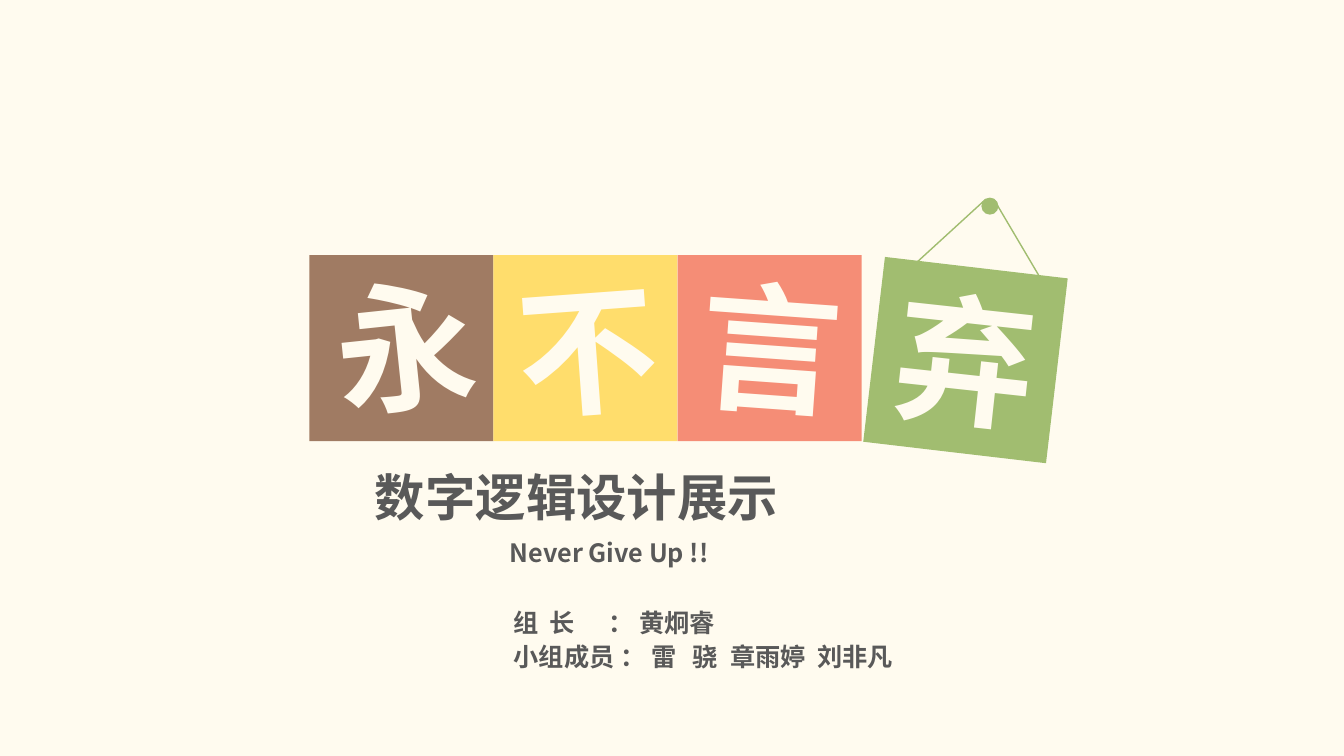
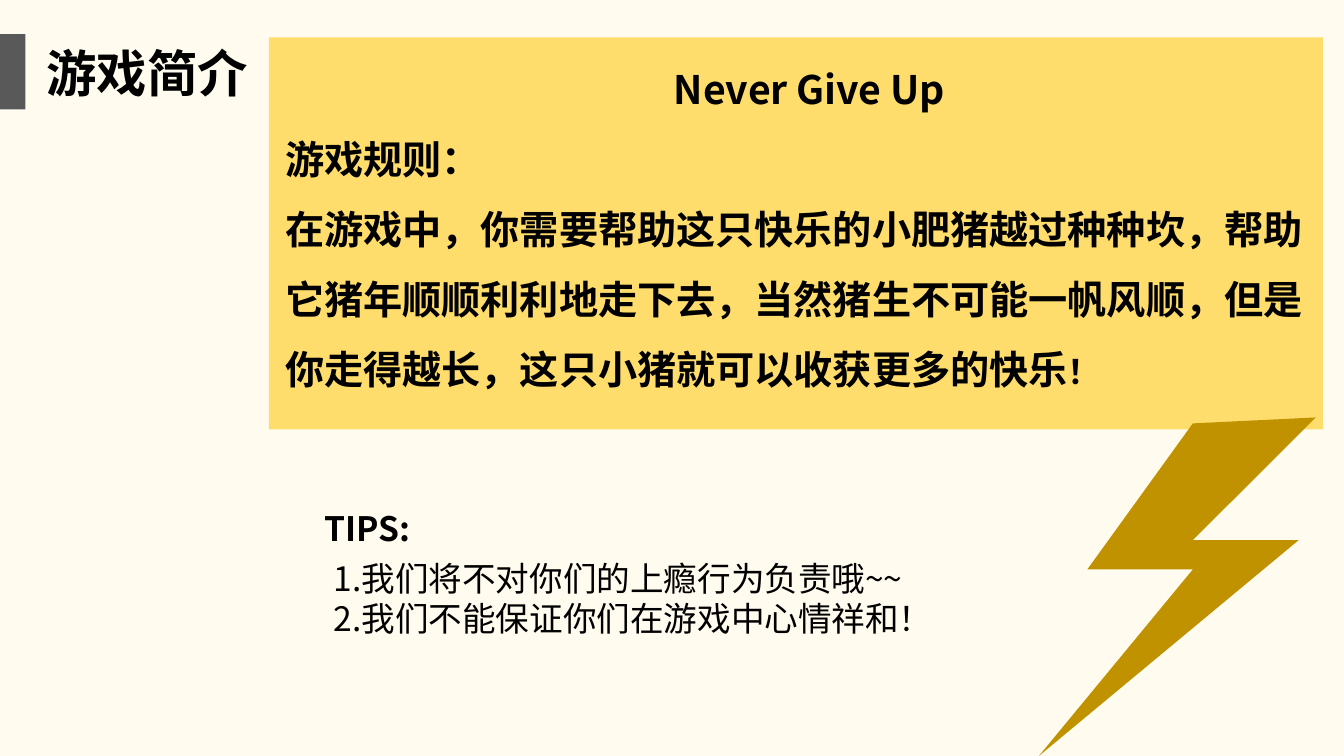
"""Build a two-slide deck: a cover with hanging tiles and a game introduction."""
from dataclasses import dataclass, replace
from typing import NamedTuple

from lxml.etree import SubElement
from pptx import Presentation
from pptx.dml.color import RGBColor
from pptx.enum.shapes import MSO_SHAPE as Preset
from pptx.enum.text import MSO_ANCHOR as Anchor, MSO_AUTO_SIZE as AutoSize, PP_ALIGN as Align
from pptx.oxml.ns import qn
from pptx.util import Cm, Pt


@dataclass(frozen=True)
class Theme:
    font: str = "Noto Sans CJK SC"
    cream: str = "FFFBEF"
    brown: str = "A07B63"
    yellow: str = "FFDD6C"
    coral: str = "F58D76"
    green: str = "A1BD70"
    gold: str = "C09200"
    grey: str = "595959"
    black: str = "000000"
    glyph_size: float = 100
    title_size: float = 36
    body_size: float = 28
    tips_size: float = 24
    small_size: float = 18
    pitch: float = 1.19


THEME = Theme()


class Box(NamedTuple):
    left: float
    top: float
    width: float
    height: float

    def lengths(self):
        return [Cm(value) for value in self]


@dataclass(frozen=True)
class TextStyle:
    size: float
    color: str
    bold: bool = True
    align: Align = Align.LEFT
    spacing: float = 1


@dataclass(frozen=True)
class Tile:
    color: str
    box: Box
    glyph: str
    glyph_left: float
    glyph_top: float
    glyph_turn: float
    turn: float = 0


TILE_LEFT, TILE_TOP, TILE_WIDTH, TILE_HEIGHT = 7.8, 6.43, 4.64, 4.69
GLYPH_WIDTH, GLYPH_HEIGHT = 4.04, 4.24


def row_box(column: int) -> Box:
    return Box(TILE_LEFT + column * TILE_WIDTH, TILE_TOP, TILE_WIDTH, TILE_HEIGHT)


TILES = [
    Tile(THEME.brown, row_box(0), "永", 8.2, 6.56, -6.1),
    Tile(THEME.yellow, row_box(1), "不", 12.78, 6.68, -4.2),
    Tile(THEME.coral, row_box(2), "言", 17.42, 6.63, 4.1),
    Tile(THEME.green, Box(22.02, 6.73, TILE_WIDTH, TILE_HEIGHT), "弃", 22.33, 6.94, 6.2, 6.7),
]
STRING = [(22.73, 6.96), (24.84, 5.03), (25.07, 5.05), (26.47, 7.42)]
BOLT = [(30.07, 10.67), (27.41, 14.35), (30.07, 14.35), (26.19, 19.05),
        (32.74, 13.61), (30.07, 13.61), (33.17, 10.52)]
TEAM = ["组\t长\t： 黄炯睿", "小组成员 ： 雷\t骁\t章雨婷\t刘非凡"]
TEAM_TABS = [(0.91, 2.39), (4.52, 5.46, 7.65)]
RULES = [
    "Never Give Up",
    "游戏规则：",
    "在游戏中，你需要帮助这只快乐的小肥猪越过种种坎，帮助它猪年顺顺利利地走下去，"
    "当然猪生不可能一帆风顺，但是你走得越长，这只小猪就可以收获更多的快乐",
]
TIPS = ["1.我们将不对你们的上瘾行为负责哦~~", "2.我们不能保证你们在游戏中心情祥和！"]


def rgb(color: str) -> RGBColor:
    return RGBColor.from_string(color)


def format_paragraph(paragraph, style: TextStyle) -> None:
    paragraph.alignment = style.align
    paragraph.line_spacing = Pt(round(style.size * THEME.pitch * style.spacing, 1))
    paragraph.space_before = Pt(0)
    for run in paragraph.runs:
        run.font.size = Pt(style.size)
        run.font.bold = style.bold
        run.font.color.rgb = rgb(style.color)
        run.font.name = THEME.font
        latin = run.font._element.find(qn("a:latin"))
        east_asian = SubElement(run.font._element, qn("a:ea"), typeface=THEME.font)
        latin.addnext(east_asian)


def fill_frame(frame, lines: list[str], style: TextStyle) -> None:
    frame.margin_left = frame.margin_right = frame.margin_top = frame.margin_bottom = 0
    frame.word_wrap = True
    frame.auto_size = AutoSize.NONE
    frame.vertical_anchor = Anchor.TOP
    frame.text = "\n".join(lines)
    for paragraph in frame.paragraphs:
        format_paragraph(paragraph, style)


def add_text(slide, box: Box, lines: list[str], style: TextStyle):
    label = slide.shapes.add_textbox(*box.lengths())
    fill_frame(label.text_frame, lines, style)
    return label


def set_tabs(paragraph, stops: tuple[float, ...]) -> None:
    tab_list = SubElement(paragraph._p.get_or_add_pPr(), qn("a:tabLst"))
    for stop in stops:
        SubElement(tab_list, qn("a:tab"), pos=str(int(Cm(stop))), algn="l")


def add_block(slide, box: Box, color: str, preset: Preset = Preset.RECTANGLE):
    block = slide.shapes.add_shape(preset, *box.lengths())
    block.shadow.inherit = False
    block.fill.solid()
    block.fill.fore_color.rgb = rgb(color)
    block.line.fill.background()
    return block


def add_outline(slide, points: list[tuple[float, float]], close: bool):
    corners = [(Cm(x), Cm(y)) for x, y in points]
    builder = slide.shapes.build_freeform(*corners[0])
    builder.add_line_segments(corners[1:], close=close)
    outline = builder.convert_to_shape()
    outline.shadow.inherit = False
    return outline


def add_titled_slide(deck, title: str, box: Box, color: str):
    slide = deck.slides.add_slide(deck.slide_layouts[5])
    heading = slide.shapes.title
    heading.left, heading.top, heading.width, heading.height = box.lengths()
    fill_frame(heading.text_frame, [title], TextStyle(THEME.title_size, color))
    return slide


def build_cover(deck) -> None:
    slide = add_titled_slide(deck, "数字逻辑设计展示", Box(9.45, 11.76, 11, 1.52), THEME.grey)
    glyph_style = TextStyle(THEME.glyph_size, THEME.cream, align=Align.CENTER)
    for tile in TILES:
        add_block(slide, tile.box, tile.color).rotation = tile.turn
    for tile in TILES:
        glyph_box = Box(tile.glyph_left, tile.glyph_top, GLYPH_WIDTH, GLYPH_HEIGHT)
        add_text(slide, glyph_box, [tile.glyph], glyph_style).rotation = tile.glyph_turn

    add_block(slide, Box(24.74, 4.98, 0.43, 0.43), THEME.green, Preset.OVAL)
    string = add_outline(slide, STRING, close=False)
    string.fill.background()
    string.line.color.rgb = rgb(THEME.green)
    string.line.width = Pt(1)

    small = TextStyle(THEME.small_size, THEME.grey)
    add_text(slide, Box(12.85, 13.54, 6, 0.8), ["Never Give Up !!"], small)
    team = add_text(slide, Box(12.95, 15.21, 11, 1.8), TEAM, replace(small, spacing=1.13))
    for paragraph, stops in zip(team.text_frame.paragraphs, TEAM_TABS):
        set_tabs(paragraph, stops)


def build_introduction(deck) -> None:
    slide = add_titled_slide(deck, "游戏简介", Box(1.17, 1.07, 5.4, 1.52), THEME.black)
    add_block(slide, Box(0, 0.86, 0.64, 1.9), THEME.grey)
    add_block(slide, Box(6.78, 0.94, 26.57, 9.88), THEME.yellow)
    bolt = add_outline(slide, BOLT, close=True)
    bolt.fill.solid()
    bolt.fill.fore_color.rgb = rgb(THEME.gold)
    bolt.line.fill.background()

    body = TextStyle(THEME.body_size, THEME.black, spacing=1.5)
    rules = add_text(slide, Box(7.19, 1.07, 26.43, 9.6), RULES, body)
    heading, *_, story = rules.text_frame.paragraphs
    heading.alignment = Align.CENTER
    ending = story.add_run()
    ending.text = "！"
    format_paragraph(story, body)
    ending.font.size = Pt(THEME.tips_size)

    tips = TextStyle(THEME.tips_size, THEME.black)
    add_text(slide, Box(8.18, 12.8, 3, 1.1), ["TIPS:"], tips)
    add_text(slide, Box(8.41, 14.07, 16, 2.1), TIPS, replace(tips, bold=False))


def main() -> None:
    deck = Presentation()
    deck.slide_width, deck.slide_height = Cm(33.88), Cm(19.05)
    backdrop = deck.slide_master.background.fill
    backdrop.solid()
    backdrop.fore_color.rgb = rgb(THEME.cream)
    build_cover(deck)
    build_introduction(deck)
    deck.save("out.pptx")


if __name__ == "__main__":
    main()
